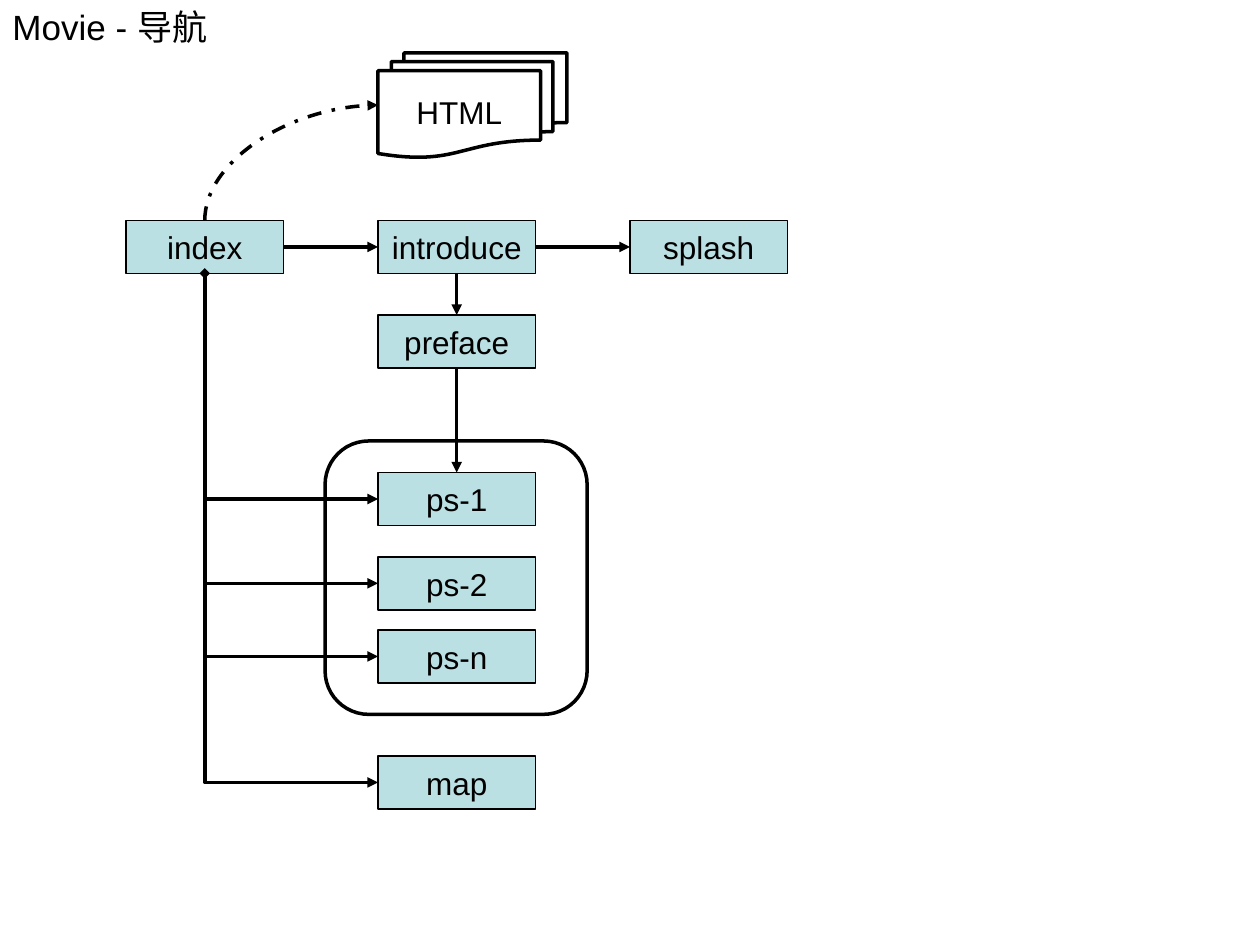
import math

import lxml.etree
import pptx
import pptx.dml.color
import pptx.enum.dml
import pptx.enum.shapes
import pptx.enum.text
import pptx.oxml.ns
import pptx.util

Inches = pptx.util.Inches
SHAPE = pptx.enum.shapes.MSO_SHAPE
CONNECTOR = pptx.enum.shapes.MSO_CONNECTOR
BLACK, WHITE, TEAL = "000000", "FFFFFF", "BBE0E3"
NODE_W, NODE_H = 1.25, 0.42
COLUMN = 2


def rgb(value):
    return pptx.dml.color.RGBColor.from_string(value)


def qn(tag):
    return pptx.oxml.ns.qn(tag)


def set_text(sp, text, size, align, wrap):
    tf = sp.text_frame
    tf.text = text
    tf.word_wrap = wrap
    tf.vertical_anchor = pptx.enum.text.MSO_ANCHOR.MIDDLE
    p = tf.paragraphs[0]
    p.alignment = align
    font = p.runs[0].font
    font.name = "Arial"
    font.size = pptx.util.Pt(size)
    font.color.rgb = rgb(BLACK)


def set_line(sp, width):
    sp.line.width = pptx.util.Pt(width)
    sp.line.color.rgb = rgb(BLACK)


def add_box(s, kind, box, text="", fill=None, width=2):
    sp = s.shapes.add_shape(kind, *(Inches(v) for v in box))
    sp.shadow.inherit = False
    if fill:
        sp.fill.solid()
        sp.fill.fore_color.rgb = rgb(fill)
    else:
        sp.fill.background()
    set_line(sp, width)
    if text:
        set_text(sp, text, 18, pptx.enum.text.PP_ALIGN.CENTER, False)


def style_connector(c, head=None, dash=None):
    set_line(c, 2)
    if dash:
        c.line.dash_style = dash
    props = c._element.spPr
    ln = props.find(qn("a:ln"))
    if head:
        lxml.etree.SubElement(ln, qn("a:headEnd"), type=head)
    lxml.etree.SubElement(ln, qn("a:tailEnd"), type="triangle")
    lxml.etree.SubElement(props, qn("a:effectLst"))


def add_arrow(s, x1, y1, x2, y2):
    ends = (Inches(v) for v in (x1, y1, x2, y2))
    style_connector(s.shapes.add_connector(CONNECTOR.STRAIGHT, *ends))


def add_turn(s, x1, y1, x2, y2, kind, geometry, head=None, dash=None):
    cx, cy = (x1 + x2) / 2, (y1 + y2) / 2
    half_w = abs(y2 - y1) / 2
    half_h = math.copysign((x2 - x1) / 2, y2 - y1)
    ends = (cx + half_w, cy - half_h, cx - half_w, cy + half_h)
    c = s.shapes.add_connector(kind, *(Inches(v) for v in ends))
    props = c._element.spPr
    props.find(qn("a:prstGeom")).set("prst", geometry)
    degrees = 270 if y2 > y1 else 90
    props.find(qn("a:xfrm")).set("rot", str(degrees * 60000))
    style_connector(c, head, dash)


def add_title(s, x, y, w, h):
    sp = s.shapes.add_textbox(*(Inches(v) for v in (x, y, w, h)))
    set_text(sp, "Movie - 导航", 20, pptx.enum.text.PP_ALIGN.LEFT, True)


def add_node(s, x, y, text):
    add_box(s, SHAPE.FLOWCHART_PROCESS, (x, y, NODE_W, NODE_H), text, TEAL, 0.75)


def add_main_row(s, x, y):
    for i, name in enumerate(("index", "introduce", "splash")):
        left = x + i * COLUMN
        add_node(s, left, y, name)
        if i:
            mid = y + NODE_H / 2
            add_arrow(s, left - COLUMN + NODE_W, mid, left, mid)


def add_page_column(s, x, y):
    nodes = (("preface", 0.75), ("ps-1", 2), ("ps-2", 2.67),
             ("ps-n", 3.25), ("map", 4.25))
    trunk = x - COLUMN + NODE_W / 2
    middle = x + NODE_W / 2
    for name, offset in nodes:
        top = y + offset
        add_node(s, x, top, name)
        if name != "preface":
            add_turn(s, trunk, y + NODE_H, x, top + NODE_H / 2, CONNECTOR.ELBOW,
                     "bentConnector2", "diamond" if name == "map" else None)
    add_arrow(s, middle, y + NODE_H, middle, y + 0.75)
    add_arrow(s, middle, y + 0.75 + NODE_H, middle, y + 2)
    add_box(s, SHAPE.FLOWCHART_ALTERNATE_PROCESS, (x - 0.42, y + 1.75, 2.08, 2.17))


def add_documents(s, x, y, w, h):
    add_box(s, SHAPE.FLOWCHART_MULTIDOCUMENT, (x, y, w, h), "HTML", WHITE)
    add_turn(s, x - COLUMN + NODE_W / 2, y + 1.33, x, y + h / 2, CONNECTOR.CURVE,
             "curvedConnector2", dash=pptx.enum.dml.MSO_LINE.DASH_DOT)


def main():
    prs = pptx.Presentation()
    prs.slide_width, prs.slide_height = Inches(10), Inches(7.5)
    s = prs.slides.add_slide(prs.slide_layouts[6])
    add_title(s, 0, 0, 9, 0.42)
    add_main_row(s, 1, 1.75)
    add_page_column(s, 3, 1.75)
    add_documents(s, 3, 0.42, 1.5, 0.83)
    prs.save("out.pptx")


if __name__ == "__main__":
    main()
